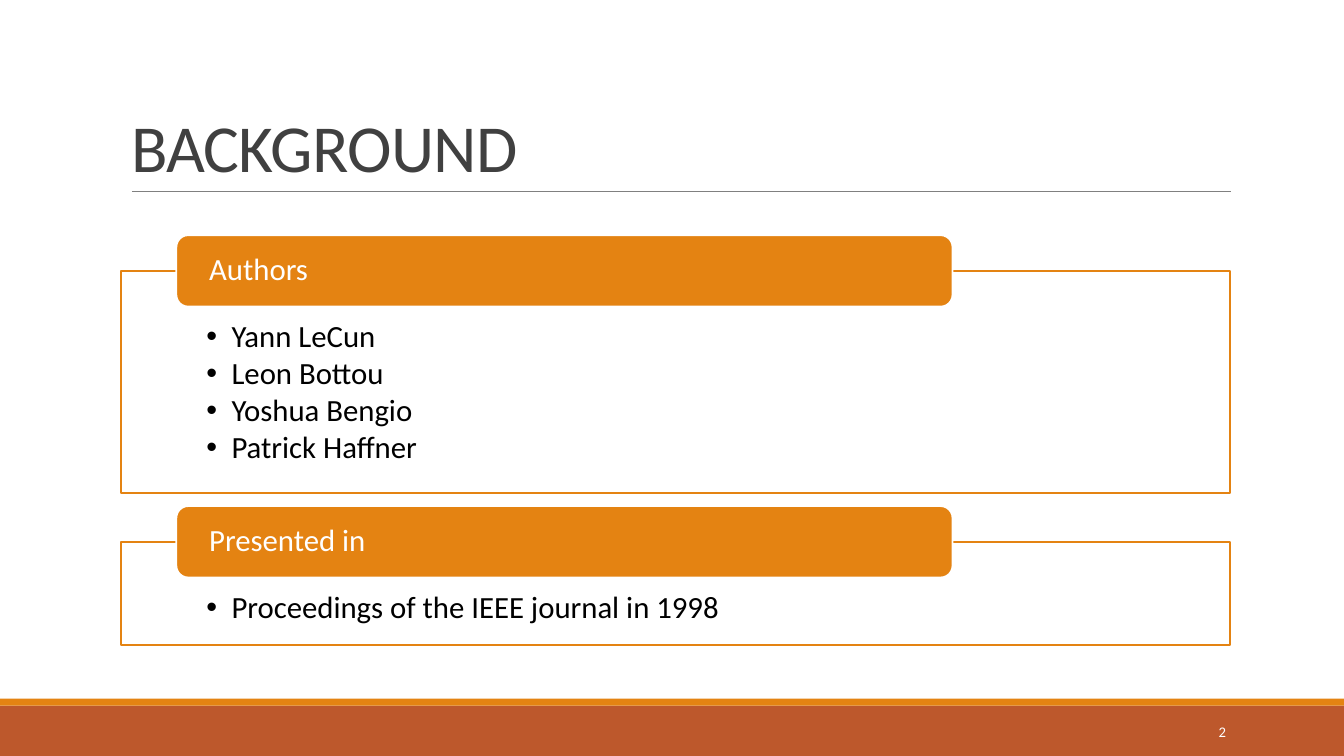
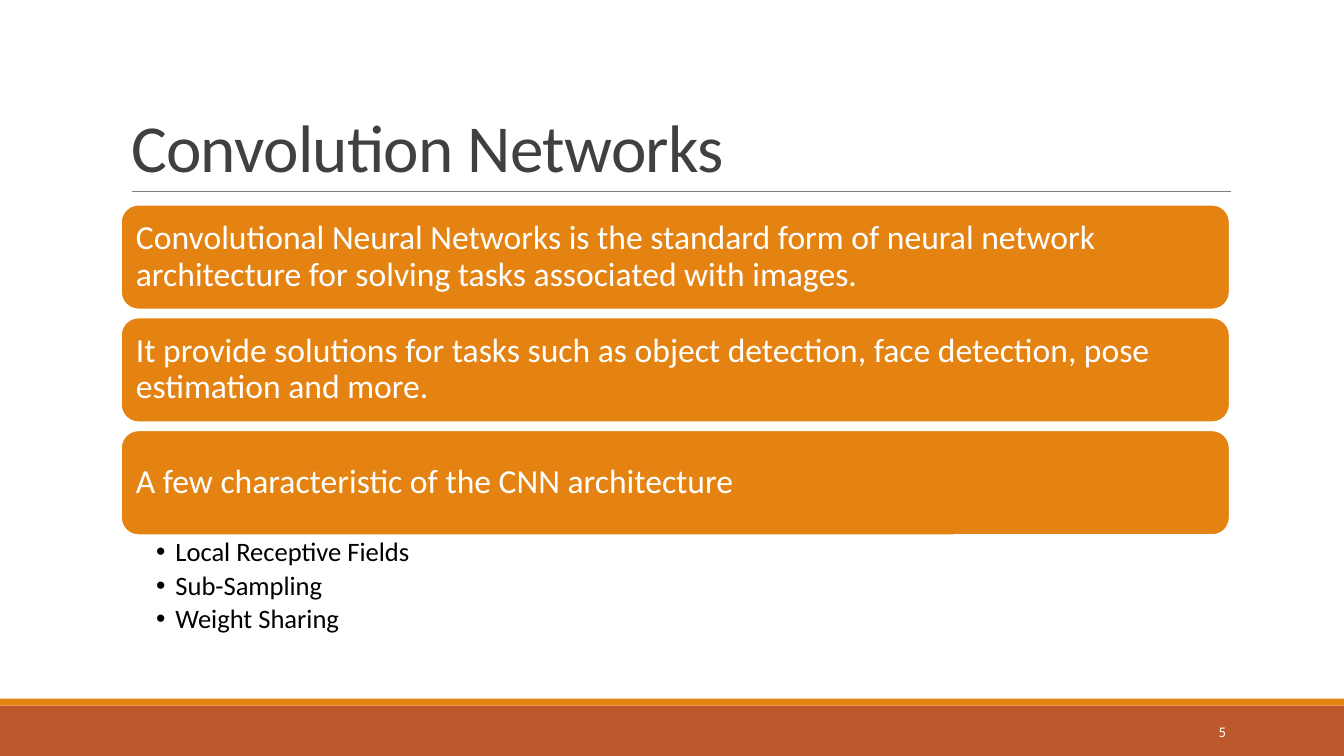
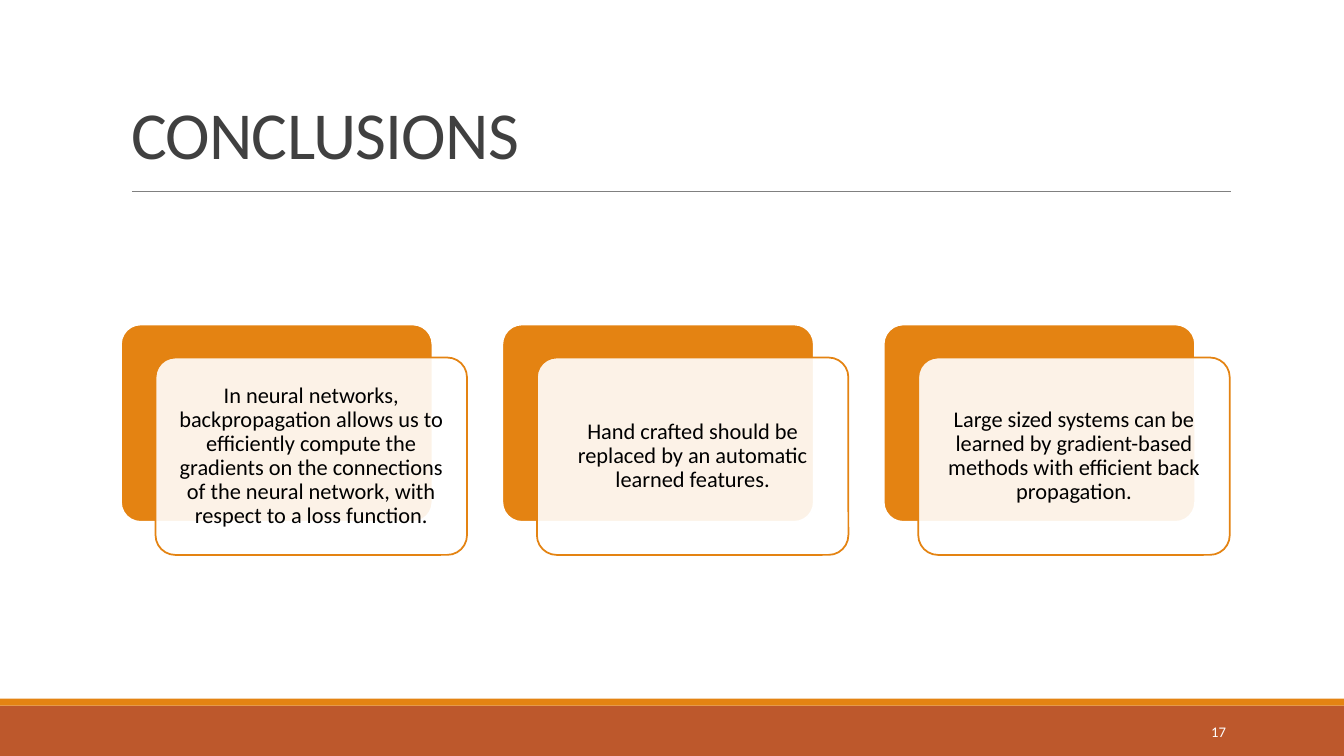
from lxml.etree import SubElement
from pptx import Presentation
from pptx.dml.color import RGBColor
from pptx.enum.shapes import MSO_CONNECTOR, MSO_SHAPE
from pptx.enum.text import MSO_ANCHOR, MSO_AUTO_SIZE, PP_ALIGN
from pptx.oxml.ns import qn
from pptx.util import Pt

# Shared look
FONT = "Calibri"
ORANGE, RUST = "E48312", "BD582C"
WHITE, BLACK, DARK, GREY = "FFFFFF", "000000", "404040", "808080"
WIDTH, HEIGHT = 960, 540
LEFT, CONTENT_W = 86.4, 792
TITLE_TOP, TITLE_H = 22.3, 114.5
TWO_CONTENT, TITLE_CONTENT, TITLE_ONLY = 3, 1, 5


def rgb(color):
    return RGBColor.from_string(color)


def place(sp, x, y, w, h):
    sp.left, sp.top, sp.width, sp.height = Pt(x), Pt(y), Pt(w), Pt(h)


def add_bullet(p, hang):
    pPr = p._p.get_or_add_pPr()
    pPr.set("marL", str(Pt(hang)))
    pPr.set("indent", str(-Pt(hang)))
    SubElement(pPr, qn("a:buFont"), typeface="Arial")
    SubElement(pPr, qn("a:buChar"), char="•")


def write(tf, lines, size=22, color=WHITE, align=PP_ALIGN.LEFT,
          anchor=MSO_ANCHOR.MIDDLE, margins=(7.2, 3.6, 7.2, 3.6),
          spacing=0.9, after=0, hang=0, tracking=0):
    """Fill a text frame, one paragraph per line; hang > 0 adds bullets."""
    tf.word_wrap = True
    tf.auto_size = MSO_AUTO_SIZE.NONE
    tf.vertical_anchor = anchor
    tf.margin_left, tf.margin_top, tf.margin_right, tf.margin_bottom = map(Pt, margins)
    for i, line in enumerate(lines):
        p = tf.paragraphs[0] if i == 0 else tf.add_paragraph()
        p.alignment, p.line_spacing = align, spacing
        p.space_before, p.space_after = Pt(0), Pt(after)
        if hang:
            add_bullet(p, hang)
        r = p.add_run()
        r.text = line
        r.font.name, r.font.size = FONT, Pt(size)
        r.font.color.rgb = rgb(color)
        if tracking:
            r._r.get_or_add_rPr().set("spc", str(round(tracking * 100)))


def paint(sp, fill, line=None, opacity=100):
    sp.fill.solid()
    sp.fill.fore_color.rgb = rgb(fill)
    if opacity < 100:
        clr = sp.element.xpath("./p:spPr/a:solidFill/a:srgbClr")[0]
        SubElement(clr, qn("a:alpha"), val=str(opacity * 1000))
    if line:
        sp.line.color.rgb = rgb(line)
        sp.line.width = Pt(1.25)
    else:
        sp.line.fill.background()


def add_box(s, kind, x, y, w, h, fill, line=None, opacity=100, corner=None):
    sp = s.shapes.add_shape(kind, Pt(x), Pt(y), Pt(w), Pt(h))
    sp.shadow.inherit = False
    if corner is not None:
        sp.adjustments[0] = corner
    paint(sp, fill, line, opacity)
    return sp


def brand_master(prs, s):
    """Draw the footer bands and the title rule, then move them to the master."""
    rule = s.shapes.add_connector(MSO_CONNECTOR.STRAIGHT, Pt(94.3), Pt(136.8),
                                  Pt(879.1), Pt(136.8))
    rule.line.color.rgb = rgb(GREY)
    rule.line.width = Pt(0.5)
    SubElement(rule.element.spPr, qn("a:effectLst"))
    parts = [add_box(s, MSO_SHAPE.RECTANGLE, 0, 504, WIDTH, 36, RUST),
             add_box(s, MSO_SHAPE.RECTANGLE, 0, 499, WIDTH, 5, ORANGE), rule]
    for i, sp in enumerate(parts):
        sp.element.xpath(".//p:cNvPr")[0].set("id", str(100 + i))
        prs.slide_master.shapes.element.insert(2 + i, sp.element)


def add_slide(prs, layout, title, number, title_top=TITLE_TOP):
    s = prs.slides.add_slide(prs.slide_layouts[layout])
    place(s.shapes.title, LEFT, title_top, CONTENT_W, TITLE_H)
    write(s.shapes.title.text_frame, [title], size=48, color=DARK,
          anchor=MSO_ANCHOR.BOTTOM, spacing=0.85, tracking=-0.5)
    # Page number
    tb = s.shapes.add_textbox(Pt(779.8), Pt(508.3), Pt(103), Pt(28.8))
    write(tb.text_frame, [number], size=10.5, align=PP_ALIGN.RIGHT, spacing=1)
    return s


def headed_list(s, body, x, y, w, h, heading, items):
    """Outlined list with a heading tab across its top edge."""
    tab_h = 51
    place(body, x, y + tab_h / 2, w, h - tab_h / 2)
    paint(body, WHITE, ORANGE, opacity=90)
    write(body.text_frame, items, color=BLACK, anchor=MSO_ANCHOR.TOP,
          margins=(61, 36, 61, 12), after=2.7, hang=18)
    tab = add_box(s, MSO_SHAPE.ROUNDED_RECTANGLE, x + w * 0.05, y, w * 0.7, tab_h,
                  ORANGE, WHITE)
    write(tab.text_frame, [heading], margins=(21, 0, 21, 0))


def statement_stack(s, x, y, w, statements):
    """Equal bars from top to bottom; returns the bottom edge."""
    bar_h, gap = 74.9, 5.7
    for i, statement in enumerate(statements):
        bar = add_box(s, MSO_SHAPE.ROUNDED_RECTANGLE, x, y + i * (bar_h + gap),
                      w, bar_h, ORANGE, WHITE)
        write(bar.text_frame, [statement], size=24, margins=(7.2,) * 4)
    return y + len(statements) * (bar_h + gap) - gap


def layered_cards(s, x, y, w, texts):
    """Row of cards, each a translucent panel offset over an orange one."""
    card_w, card_h, dx, dy = 222.5, 141, 24.7, 23.6
    step = (w - card_w - dx) / (len(texts) - 1)
    for i, text in enumerate(texts):
        left = x + i * step
        add_box(s, MSO_SHAPE.ROUNDED_RECTANGLE, left, y, card_w, card_h,
                ORANGE, WHITE, corner=0.1)
        panel = add_box(s, MSO_SHAPE.ROUNDED_RECTANGLE, left + dx, y + dy,
                        card_w, card_h, WHITE, ORANGE, opacity=90, corner=0.1)
        write(panel.text_frame, [text], size=16, color=BLACK,
              align=PP_ALIGN.CENTER, margins=(7, 5, 7, 5))


def background_slide(prs):
    s = add_slide(prs, TWO_CONTENT, "BACKGROUND", "2")
    brand_master(prs, s)
    groups = [
        ("Authors", 184, ["Yann LeCun", "Leon Bottou", "Yoshua Bengio", "Patrick Haffner"]),
        ("Presented in", 99, ["Proceedings of the IEEE journal in 1998"]),
    ]
    y = 168
    for body, (heading, h, items) in zip(list(s.placeholders)[1:], groups):
        headed_list(s, body, LEFT, y, CONTENT_W, h, heading, items)
        y += h + 9.5


def networks_slide(prs):
    s = add_slide(prs, TITLE_CONTENT, "Convolution Networks", "5")
    bottom = statement_stack(s, LEFT, 146.2, CONTENT_W, [
        "Convolutional Neural Networks is the standard form of neural network "
        "architecture for solving tasks associated with images.",
        "It provide solutions for tasks such as object detection, face detection, "
        "pose estimation and more.",
        "A few characteristic of the CNN architecture",
    ])
    body = s.placeholders[1]
    place(body, LEFT, bottom + 0.5, CONTENT_W, 78.5)
    write(body.text_frame, ["Local Receptive Fields", "Sub-Sampling", "Weight Sharing"],
          size=19, color=BLACK, anchor=MSO_ANCHOR.TOP,
          margins=(25.2, 2, 13.7, 2), after=3.4, hang=13.7)


def conclusions_slide(prs):
    s = add_slide(prs, TITLE_ONLY, "CONCLUSIONS", "17", title_top=13)
    layered_cards(s, LEFT, 231.8, CONTENT_W, [
        "In neural networks, backpropagation allows us to efficiently compute the "
        "gradients on the connections of the neural network, with respect to a "
        "loss function.",
        "Hand crafted should be replaced by an automatic learned features.",
        "Large sized systems can be learned by gradient-based methods with "
        "efficient back propagation.",
    ])


def main():
    prs = Presentation()
    prs.slide_width, prs.slide_height = Pt(WIDTH), Pt(HEIGHT)
    background_slide(prs)
    networks_slide(prs)
    conclusions_slide(prs)
    prs.save("out.pptx")


if __name__ == "__main__":
    main()
